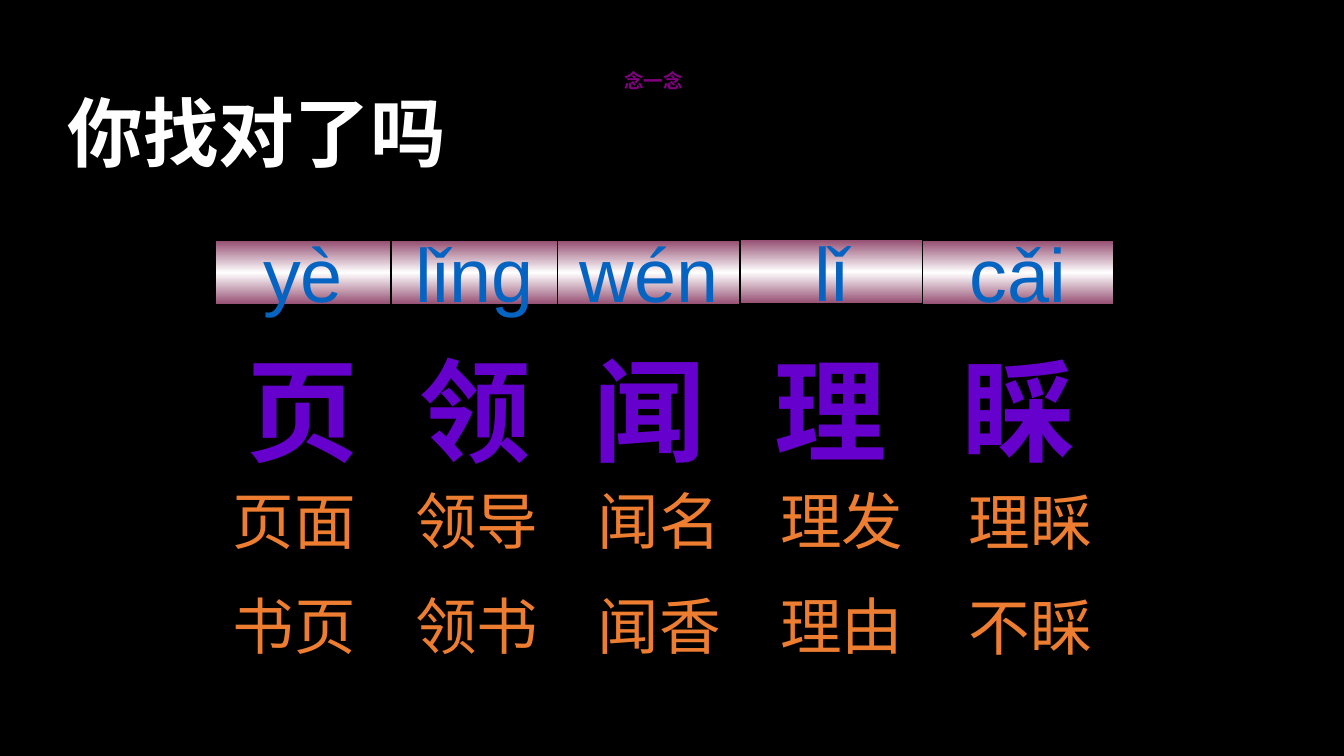
from copy import deepcopy

from lxml.etree import SubElement
from pptx import Presentation
from pptx.dml.color import RGBColor
from pptx.enum.lang import MSO_LANGUAGE_ID
from pptx.enum.shapes import MSO_SHAPE
from pptx.enum.text import MSO_ANCHOR, MSO_AUTO_SIZE, PP_ALIGN
from pptx.oxml.ns import qn
from pptx.util import Inches, Pt

# Content
TITLE = "你找对了吗"
PROMPT = "念一念"
# pinyin, bar left, bar top, bar width, character, column width, words, words left, words top
LESSONS = [
    ("yè", 2.14, 2.39, 1.73, "页", 1.72, ("页面", "书页"), 2.21, 4.74),
    ("lǐng", 3.88, 2.39, 1.65, "领", 1.72, ("领导", "领书"), 4.02, 4.74),
    ("wén", 5.53, 2.39, 1.81, "闻", 1.73, ("闻名", "闻香"), 5.83, 4.74),
    ("lǐ", 7.34, 2.38, 1.81, "理", 1.86, ("理发", "理由"), 7.64, 4.74),
    ("cǎi", 9.15, 2.39, 1.89, "睬", 1.86, ("理睬", "不睬"), 9.51, 4.75),
]

BLACK = RGBColor(0x00, 0x00, 0x00)
WHITE = RGBColor(0xFF, 0xFF, 0xFF)
PLUM = RGBColor(0x95, 0x4F, 0x72)
BLUE = RGBColor(0x05, 0x63, 0xC1)
VIOLET = RGBColor(0x66, 0x00, 0xCC)
ORANGE = RGBColor(0xED, 0x7D, 0x31)
PURPLE = RGBColor(0x80, 0x00, 0x80)
FONT = "Arial"
TITLE_FONT = "Noto Sans CJK JP"


def add_text(paragraph, text, size, color, bold=False, align=PP_ALIGN.CENTER, font=FONT):
    paragraph.alignment = align
    run = paragraph.add_run()
    run.text = text
    run.font.name = font
    run.font.size = Pt(size)
    run.font.bold = bold
    run.font.color.rgb = color
    run.font.language_id = MSO_LANGUAGE_ID.SIMPLIFIED_CHINESE
    return run


def add_text_box(slide, left, top, width, height):
    frame = slide.shapes.add_textbox(
        Inches(left), Inches(top), Inches(width), Inches(height)).text_frame
    frame.word_wrap = True
    return frame


def fill_gradient(shape):
    shape.fill.gradient()
    shape.fill.gradient_angle = 270
    stop_list = shape._element.spPr.find(qn("a:gradFill")).find(qn("a:gsLst"))
    stop_list.append(deepcopy(stop_list[0]))
    for stop, position, color in zip(shape.fill.gradient_stops, (0, 0.5, 1), (PLUM, WHITE, PLUM)):
        stop.position = position
        stop.color.rgb = color


def set_borders(cell, widths):
    properties = cell._tc.get_or_add_tcPr()
    for index, (side, width) in enumerate(zip("LRTB", widths)):
        line = SubElement(properties, qn(f"a:ln{side}"), w=str(Pt(width)))
        fill = SubElement(line, qn("a:solidFill"))
        SubElement(fill, qn("a:srgbClr"), val=str(BLACK))
        properties.insert(index, line)


def main():
    presentation = Presentation()
    presentation.slide_width = Inches(13.33)
    presentation.slide_height = Inches(7.5)
    slide = presentation.slides.add_slide(presentation.slide_layouts[5])
    slide.background.fill.solid()
    slide.background.fill.fore_color.rgb = BLACK

    # Character table
    table = slide.shapes.add_table(
        1, len(LESSONS), Inches(2.14), Inches(3.16), Inches(8.9), Inches(1.7)).table
    table.first_row = False
    table.horz_banding = False
    last = len(LESSONS) - 1
    for column, (_, _, _, _, character, width, _, _, _) in enumerate(LESSONS):
        table.columns[column].width = Inches(width)
        cell = table.cell(0, column)
        cell.fill.background()
        set_borders(cell, (2.25 if column == 0 else 1, 2.25 if column == last else 1, 2.25, 2.25))
        add_text(cell.text_frame.paragraphs[0], character, 80, VIOLET, bold=True)

    # Pinyin bars and word lists
    for pinyin, left, top, width, _, _, words, words_left, words_top in LESSONS:
        bar = slide.shapes.add_shape(
            MSO_SHAPE.RECTANGLE, Inches(left), Inches(top), Inches(width), Inches(0.63))
        bar.shadow.inherit = False
        fill_gradient(bar)
        bar.line.color.rgb = BLACK
        bar.line.width = Pt(0.75)
        bar.text_frame.vertical_anchor = MSO_ANCHOR.MIDDLE
        add_text(bar.text_frame.paragraphs[0], pinyin, 54, BLUE)

        frame = add_text_box(slide, words_left, words_top, 3.31, 1.94)
        for index, word in enumerate(words):
            paragraph = frame.add_paragraph() if index else frame.paragraphs[0]
            paragraph.space_before = Pt(22 * index)
            add_text(paragraph, word, 44, ORANGE, align=PP_ALIGN.LEFT)

    # Prompt
    prompt = add_text_box(slide, 4.91, 0.63, 3.15, 1.18)
    add_text(prompt.paragraphs[0], PROMPT, 14, PURPLE, bold=True)

    # Title
    title = slide.shapes.title
    title.left, title.top = Inches(0.54), Inches(0.8)
    title.width, title.height = Inches(4.01), Inches(1.01)
    title.text_frame.vertical_anchor = MSO_ANCHOR.TOP
    title.text_frame.auto_size = MSO_AUTO_SIZE.NONE
    run = add_text(title.text_frame.paragraphs[0], TITLE, 54, WHITE, bold=True, font=TITLE_FONT)
    SubElement(run.font._element, qn("a:ea"), typeface=TITLE_FONT)

    presentation.save("out.pptx")


if __name__ == "__main__":
    main()
